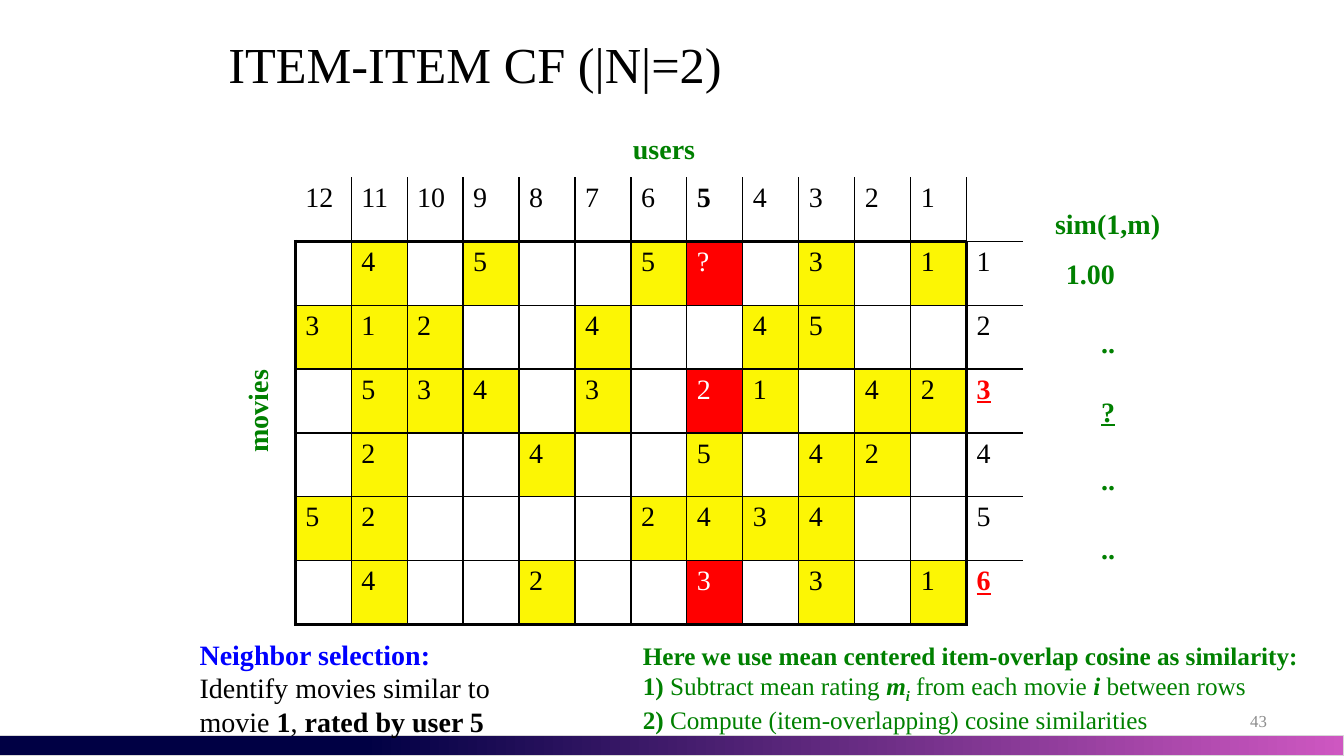
from lxml.etree import SubElement
from pptx import Presentation
from pptx.dml.color import RGBColor
from pptx.enum.shapes import MSO_SHAPE
from pptx.enum.text import MSO_ANCHOR as Anchor, PP_ALIGN as Align
from pptx.oxml.ns import qn
from pptx.util import Cm, Pt

FONT = "Times New Roman"
COLORS = {
    "black": "000000", "white": "FFFFFF", "green": "008000", "blue": "0000FF",
    "red": "FF0000", "yellow": "FCF604", "gray": "8C8C8C", "silver": "D8D8D8",
    "navy": "000044", "pink": "CE57C1",
}
USERS = "12 11 10 9 8 7 6 5 4 3 2 1".split()
RATINGS = [row.split() for row in (
    ". 4 . 5 . . 5 ? . 3 . 1",
    "3 1 2 . . 4 . . 4 5 . .",
    ". 5 3 4 . 3 . 2 1 . 4 2",
    ". 2 . . 4 . . 5 . 4 2 .",
    "5 2 . . . . 2 4 3 4 . .",
    ". 4 . . 2 . . 3 . 3 . 1",
)]
TARGET_USER = "5"
NEIGHBORS = (3, 6)
SIMILARITIES = ["1.00", "..", "?", "..", ".."]
THIN, THICK = 1, 2.25


def rgb(name):
    return RGBColor.from_string(COLORS[name])


def add_run(paragraph, text, size, color, style=""):
    """Style letters: b bold, i italic, u underline, s subscript."""
    run = paragraph.add_run()
    run.text = text
    font = run.font
    font.name, font.size = FONT, Pt(size)
    font.color.rgb = rgb(color)
    font.bold, font.italic = "b" in style, "i" in style
    font.underline = "u" in style
    if "s" in style:
        run._r.get_or_add_rPr().set("baseline", "-25000")


def add_text(slide, box, paragraphs, size, align=Align.LEFT, gap=0, wrap=True,
             anchor=Anchor.TOP, rotation=0):
    """Each paragraph is a list of (text, color, style) runs; None breaks the line."""
    label = slide.shapes.add_textbox(*map(Cm, box))
    label.rotation = rotation
    frame = label.text_frame
    frame.word_wrap, frame.vertical_anchor = wrap, anchor
    for index, runs in enumerate(paragraphs):
        paragraph = frame.add_paragraph() if index else frame.paragraphs[0]
        paragraph.alignment = align
        if index and gap:
            paragraph.space_before = Pt(gap)
        for run in runs:
            if run is None:
                paragraph.add_line_break()
            else:
                text, color, style = run
                add_run(paragraph, text, size, color, style)


def set_borders(cell, widths):
    """Widths in points for left, right, top and bottom; 0 hides the side."""
    properties = cell._tc.get_or_add_tcPr()
    for side, width in zip("LRTB", widths):
        line = SubElement(properties, qn(f"a:ln{side}"), w=str(Pt(width)))
        if width:
            fill = SubElement(line, qn("a:solidFill"))
            SubElement(fill, qn("a:srgbClr"), val=COLORS["black"])
        else:
            SubElement(line, qn("a:noFill"))


def vertical_width(row, edge):
    if edge == len(USERS) + 1:
        return 0
    if edge in (0, len(USERS)) and row:
        return THICK
    return THIN if edge else 0


def horizontal_width(edge, column):
    in_frame = column < len(USERS)
    if edge == 0:
        return 0
    if edge == len(RATINGS) + 1:
        return THICK if in_frame else 0
    return THICK if edge == 1 and in_frame else THIN


def cell_look(row, column):
    """Text, text colour, style and fill of one cell."""
    if row == 0:
        user = (USERS + [""])[column]
        return user, "black", "b" if user == TARGET_USER else "", None
    if column == len(USERS):
        neighbor = row in NEIGHBORS
        return str(row), "red" if neighbor else "black", "bu" if neighbor else "", None
    rating = RATINGS[row - 1][column]
    if rating == ".":
        return "", "black", "", None
    if USERS[column] == TARGET_USER and row in (1, *NEIGHBORS):
        return rating, "white", "", "red"
    return rating, "black", "", "yellow"


def add_rating_table(slide):
    rows, columns = len(RATINGS) + 1, len(USERS) + 1
    column_width, row_height = 1.41, 1.61
    table = slide.shapes.add_table(
        rows, columns, Cm(7.44), Cm(4.47),
        Cm(column_width * columns), Cm(row_height * rows)).table
    table.first_row = table.horz_banding = False
    for column in table.columns:
        column.width = Cm(column_width)
    for row in table.rows:
        row.height = Cm(row_height)
    for r in range(rows):
        for c in range(columns):
            cell = table.cell(r, c)
            set_borders(cell, (vertical_width(r, c), vertical_width(r, c + 1),
                               horizontal_width(r, c), horizontal_width(r + 1, c)))
            text, color, style, fill = cell_look(r, c)
            if fill:
                cell.fill.solid()
                cell.fill.fore_color.rgb = rgb(fill)
            else:
                cell.fill.background()
            if text:
                add_run(cell.text_frame.paragraphs[0], text, 20, color, style)


def add_footer_bar(slide, slide_width):
    bar = slide.shapes.add_shape(MSO_SHAPE.RECTANGLE, 0, Cm(18.54), slide_width, Cm(0.51))
    bar.shadow.inherit = False
    bar.line.color.rgb, bar.line.width = rgb("silver"), Pt(0.75)
    bar.fill.gradient()
    bar.fill.gradient_angle = 0
    for stop, (color, position) in zip(bar.fill.gradient_stops, (("navy", 0.27), ("pink", 1))):
        stop.color.rgb, stop.position = rgb(color), position


def set_title(slide, text):
    title = slide.shapes.title
    title.left, title.top, title.width, title.height = map(Cm, (5.5, 0, 22.86, 3.18))
    title.text_frame.vertical_anchor = Anchor.MIDDLE
    heading = title.text_frame.paragraphs[0]
    heading.alignment = Align.LEFT
    add_run(heading, text, 36, "black")


def main():
    deck = Presentation()
    deck.slide_width, deck.slide_height = Cm(33.87), Cm(19.05)
    slide = deck.slides.add_slide(deck.slide_layouts[5])

    add_footer_bar(slide, deck.slide_width)
    set_title(slide, "ITEM-ITEM CF (|N|=2)")
    add_text(slide, (24.28, 17.65, 7.9, 1.02), [[("43", "gray", "")]], 12,
             align=Align.RIGHT, anchor=Anchor.MIDDLE)
    add_rating_table(slide)
    add_text(slide, (15.7, 3.18, 2.11, 1.12), [[("users", "green", "b")]], 20, wrap=False)
    add_text(slide, (5.18, 9.78, 2.62, 1.12), [[("movies", "green", "b")]], 20,
             wrap=False, rotation=270)
    add_text(slide, (26.06, 5.08, 3.43, 1.12), [[("sim(1,m)", "green", "b")]], 20,
             align=Align.RIGHT, wrap=False)
    add_text(slide, (25.86, 6.35, 2.49, 8.81),
             [[(value, "green", "bu" if value == "?" else "b")] for value in SIMILARITIES],
             20, align=Align.RIGHT, gap=25)
    add_text(slide, (4.78, 15.93, 10.64, 2.82), [[
        ("Neighbor selection:", "blue", "b"), None,
        ("Identify movies similar to ", "black", ""), None,
        ("movie ", "black", ""), ("1", "black", "b"), (", ", "black", ""),
        ("rated by user 5", "black", "b"),
    ]], 20)
    add_text(slide, (15.95, 16, 17.91, 2.57), [
        [("Here we use mean centered item-overlap cosine as similarity:", "green", "b")],
        [("1)", "green", "b"), (" Subtract mean rating ", "green", ""),
         ("m", "green", "bi"), ("i", "green", "bis"),
         (" from each movie ", "green", ""), ("i ", "green", "bi"),
         ("between rows", "green", ""), None,
         ("2)", "green", "b"),
         (" Compute (item-overlapping) cosine similarities", "green", "")],
    ], 18)
    deck.save("out.pptx")


if __name__ == "__main__":
    main()
